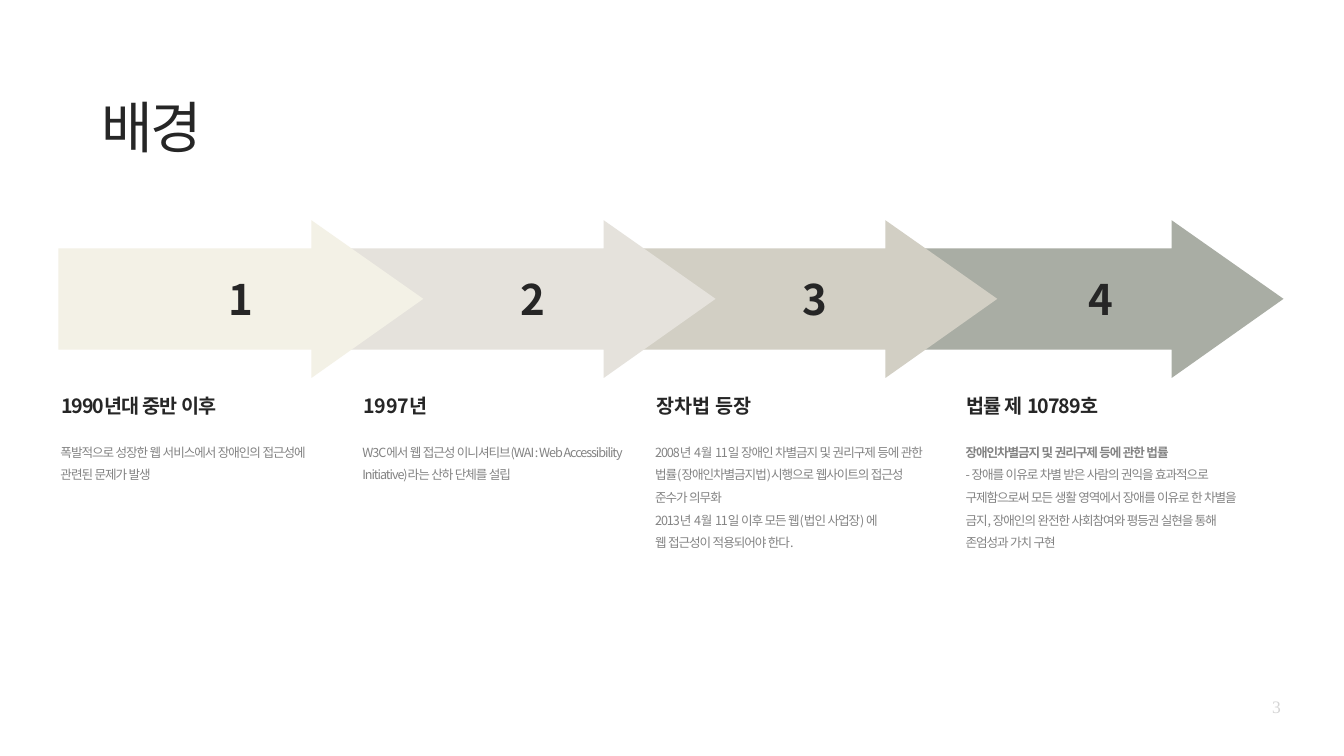
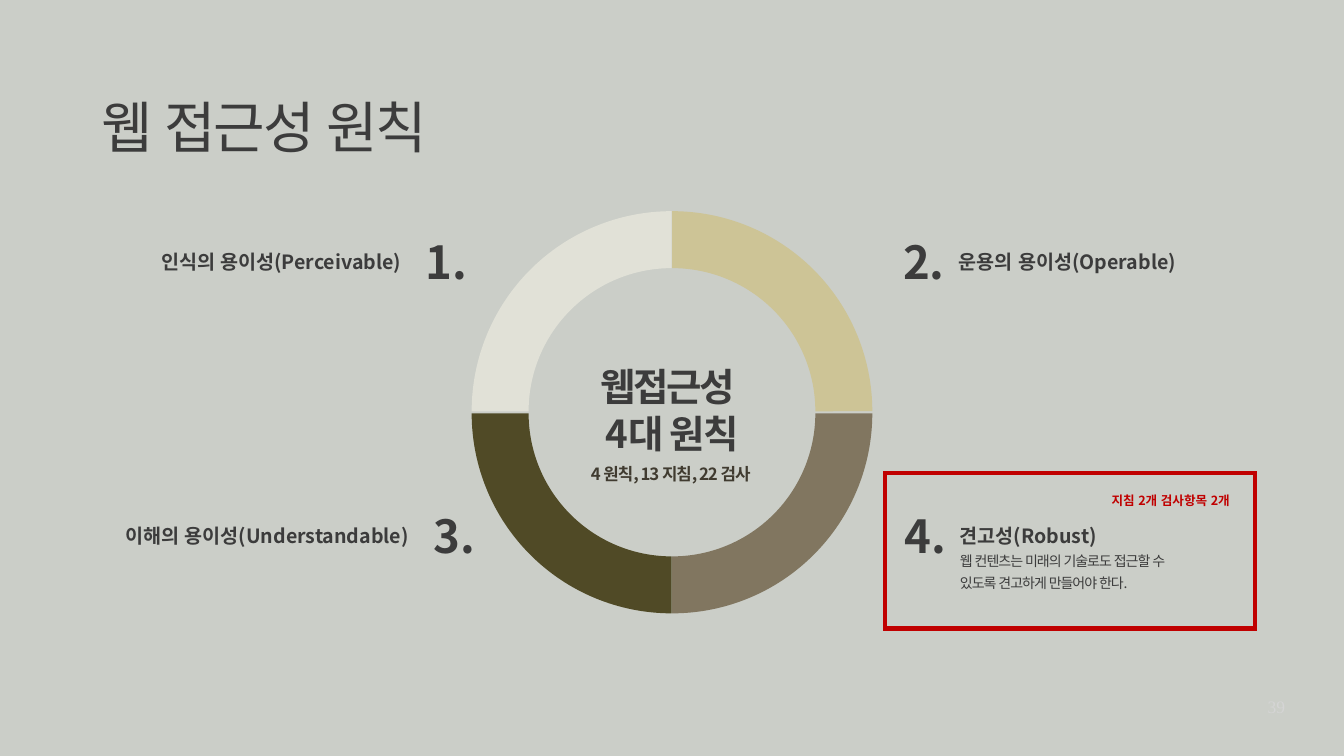
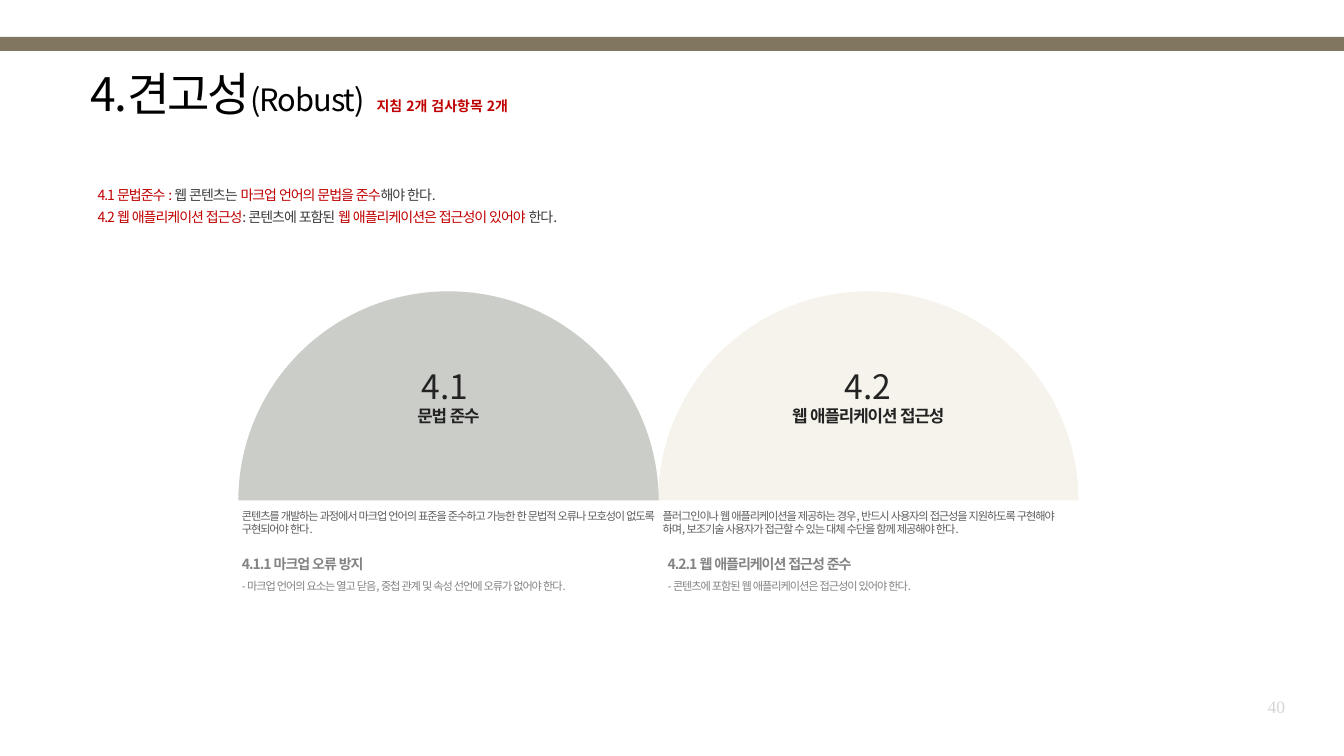
"""Build three slides on the background and principles of web accessibility."""
import math

import pptx
import pptx.dml.color
import pptx.enum.lang
import pptx.enum.shapes
import pptx.enum.text
import pptx.oxml
import pptx.oxml.ns
import pptx.util
from pptx.util import Inches

FONT = "Noto Sans CJK KR"
COLORS = {
    "white": "FFFFFF", "black": "000000", "ink": "262626", "dark": "232323",
    "charcoal": "3C3C3C", "umber": "403B30", "body": "5C5C5C", "gray": "838383",
    "page": "D5D5D5", "red": "C00000", "mist": "CBCEC8", "cream": "F3F1E6",
    "linen": "E5E2DC", "stone": "D2CFC4", "sage": "A9ADA4", "ivory": "E1E1D7",
    "sand": "CDC496", "taupe": "817660", "olive": "504A26",
}
ALIGN = {
    "l": pptx.enum.text.PP_ALIGN.LEFT,
    "c": pptx.enum.text.PP_ALIGN.CENTER,
    "r": pptx.enum.text.PP_ALIGN.RIGHT,
}


def rgb(name):
    """Return the named colour."""
    return pptx.dml.color.RGBColor.from_string(COLORS[name])


def element(tag, attributes=""):
    """Return a new drawing element."""
    return pptx.oxml.parse_xml(
        f'<a:{tag} {pptx.oxml.ns.nsdecls("a")} {attributes}/>')


def format_run(r, size=20, color="ink", bold=False, spacing=0, font=FONT):
    """Set the character format of a run."""
    r.font.size = pptx.util.Pt(size)
    r.font.bold = bold
    r.font.name = font
    r.font.color.rgb = rgb(color)
    r.font.language_id = pptx.enum.lang.MSO_LANGUAGE_ID.KOREAN
    if spacing:
        r.font._element.set("spc", str(round(spacing * 100)))


def write(tf, paragraphs, align="l", line=None, before=0, indent=0,
          inset=0.06, middle=False, **style):
    """Fill a text frame; a paragraph is a string or a list of (text, format)."""
    across, down = inset if isinstance(inset, tuple) else (inset, inset)
    tf.margin_left = tf.margin_right = Inches(across)
    tf.margin_top = tf.margin_bottom = Inches(down)
    anchors = pptx.enum.text.MSO_ANCHOR
    tf.vertical_anchor = anchors.MIDDLE if middle else anchors.TOP
    if isinstance(paragraphs, str):
        paragraphs = [paragraphs]
    for i, runs in enumerate(paragraphs):
        p = tf.add_paragraph() if i else tf.paragraphs[0]
        p.alignment = ALIGN[align]
        if line:
            p.line_spacing = line
        if before and i:
            p.space_before = pptx.util.Pt(before)
        if indent:
            p._p.get_or_add_pPr().set("marL", str(Inches(indent)))
        for text, extra in [(runs, {})] if isinstance(runs, str) else runs:
            for j, part in enumerate(text.split("\n")):
                if j:
                    p.add_line_break()
                r = p.add_run()
                r.text = part
                format_run(r, **{**style, **extra})


def add_text(s, box, paragraphs, grow=False, wrap=True, **style):
    """Add a text box at box (left, top, width, height)."""
    tf = s.shapes.add_textbox(*map(Inches, box)).text_frame
    tf.word_wrap = wrap
    if grow:
        tf.auto_size = pptx.enum.text.MSO_AUTO_SIZE.SHAPE_TO_FIT_TEXT
    write(tf, paragraphs, **style)


def paint(sp, fill=None, line=None, width=0, alpha=None):
    """Set the fill and outline of a shape."""
    sp.shadow.inherit = False
    if fill:
        sp.fill.solid()
        sp.fill.fore_color.rgb = rgb(fill)
    else:
        sp.fill.background()
    if alpha:
        color = sp.fill._xPr.find(".//" + pptx.oxml.ns.qn("a:srgbClr"))
        color.append(element("alpha", f'val="{alpha * 1000}"'))
    if line:
        sp.line.color.rgb = rgb(line)
        sp.line.width = pptx.util.Pt(width)
        sp.line._get_or_add_ln().append(element("miter", 'lim="800000"'))
    else:
        sp.line.fill.background()


def add_rect(s, box, **look):
    """Add a rectangle."""
    kind = pptx.enum.shapes.MSO_SHAPE.RECTANGLE
    paint(s.shapes.add_shape(kind, *map(Inches, box)), **look)


def add_outline(s, points, curves=(), **look):
    """Add a closed outline; curves lists the first control point of each curve."""
    points = [(Inches(x), Inches(y)) for x, y in points]
    builder = s.shapes.build_freeform(*points[0], scale=1.0)
    builder.add_line_segments(points[1:], close=True)
    sp = builder.convert_to_shape()
    sides = list(sp._element.iter(pptx.oxml.ns.qn("a:lnTo")))
    for first in curves:
        curve = element("cubicBezTo")
        sides[first - 1].addprevious(curve)
        for side in sides[first - 1:first + 2]:
            curve.append(side[0])
            side.getparent().remove(side)
    paint(sp, **look)
    return sp


def arc(cx, cy, rx, ry, start, end):
    """Return the Bezier points of an arc, in degrees clockwise from the right."""
    count = round(abs(end - start) / 45)
    step = math.radians((end - start) / count)
    k = 4 / 3 * math.tan(step / 4)
    points = [(1, 0), (1, k),
              (math.cos(step) + k * math.sin(step),
               math.sin(step) - k * math.cos(step)),
              (math.cos(step), math.sin(step))]
    result = []
    for i in range(count):
        a = math.radians(start) + i * step
        result += [(cx + rx * (x * math.cos(a) - y * math.sin(a)),
                    cy + ry * (x * math.sin(a) + y * math.cos(a)))
                   for x, y in points[bool(i):]]
    return result


def add_arrow(s, left, label, fill):
    """Add a numbered block arrow."""
    profile = [(0, 0.56), (5.02, 0.56), (5.02, 0), (7.24, 1.56),
               (5.02, 3.13), (5.02, 2.57), (0, 2.57)]
    sp = add_outline(s, [(left + x, 4.37 + y) for x, y in profile], fill=fill)
    write(sp.text_frame, label, align="c", middle=True, size=60, bold=True,
          spacing=-1.5)


def add_ring_quarter(s, cx, cy, start, fill):
    """Add a quarter of the ring that begins at the start angle."""
    outer = arc(cx, cy, 3.97, 3.97, start, start + 90)
    inner = arc(cx, cy, 2.84, 2.84, start + 90, start)
    add_outline(s, outer + inner, curves=(1, 4, 8, 11), fill=fill)


def add_dome(s, left, number, label, fill, alpha):
    """Add a half disc with a number and a label."""
    points = arc(left + 4.17, 9.93, 4.17, 4.15, 180, 360)
    sp = add_outline(s, points, curves=(1, 4, 7, 10), fill=fill, alpha=alpha)
    write(sp.text_frame,
          [[(number, {"size": 48})],
           [(label, {"size": 24, "bold": True, "spacing": -1.5})]],
          align="c", middle=True, inset=0.09, color="dark")


def add_slide(prs, background, page):
    """Add a blank slide with its background and page number."""
    s = prs.slides.add_slide(prs.slide_layouts[6])
    s.background.fill.solid()
    s.background.fill.fore_color.rgb = rgb(background)
    add_text(s, (25.08, 13.74, 0.5, 0.53), page, grow=True, wrap=False,
             align="c", size=25, color="page", font="Times New Roman")
    return s


def add_title(s, text, color):
    """Add a slide title."""
    add_text(s, (1.95, 1.78, 11.94, 2.08), text, size=80, color=color, spacing=-3)


def add_principle(s, number_at, label_at, number, label, align="l", width=4.96):
    """Add a large number with the name of its principle."""
    top = number_at[1]
    add_text(s, (*number_at, 1.1, 1.5), number, size=65, bold=True,
             color="charcoal")
    add_text(s, (label_at, top + 0.06, width, 0.58), label, align=align,
             line=1.5, inset=0.08, size=28, bold=True, color="charcoal")


def build_background(prs):
    """Build the timeline slide."""
    s = add_slide(prs, "white", "3")
    arrows = [(1.16, "cream"), (6.96, "linen"), (12.55, "stone"), (18.23, "sage")]
    for number, (left, fill) in reversed(list(enumerate(arrows, 1))):
        add_arrow(s, left, str(number), fill)
    steps = [
        (1.14, 5.52, "1990년대 중반 이후", -1.5,
         ["폭발적으로 성장한 웹 서비스에서 장애인의 접근성에 관련된 문제가 발생"]),
        (7.13, 5.52, "1997년", 0,
         ["W3C에서 웹 접근성 이니셔티브(WAI : Web Accessibility Initiative)라는 "
          "산하 단체를 설립"]),
        (12.94, 5.52, "장차법 등장", 0,
         ["2008년 4월 11일 장애인 차별금지 및 권리구제 등에 관한 "
          "법률(장애인차별금지법)시행으로 웹사이트의 접근성  준수가 의무화\n"
          "2013년 4월 11일 이후 모든 웹(법인 사업장) 에",
          "웹 접근성이 적용되어야 한다."]),
        (19.1, 5.7, "법률 제 10789호", -1.5,
         [[("장애인차별금지 및 권리구제 등에 관한 법률", {"bold": True})],
          "- 장애를 이유로 차별 받은 사람의 권익을 효과적으로 구제함으로써 "
          "모든 생활 영역에서 장애를 이유로 한 차별을 금지, 장애인의 완전한 "
          "사회참여와 평등권 실현을 통해 존엄성과 가치 구현"]),
    ]
    for left, width, heading, spacing, body in steps:
        add_text(s, (left, 8.61, width, 2.5), body, line=1.5, size=18,
                 color="gray", spacing=-1.5)
        add_text(s, (left, 7.74, 5.52, 0.83), heading, inset=0.08, size=28,
                 bold=True, spacing=spacing)
    add_title(s, "배경", "ink")


def build_principles(prs):
    """Build the slide with the ring of four principles."""
    s = add_slide(prs, "mist", "39")
    add_principle(s, (8.39, 4.59), 3.08, "1.", "인식의 용이성(Perceivable) ", "r")
    add_principle(s, (17.86, 4.59), 18.95, "2.", "운용의 용이성(Operable)")
    add_principle(s, (8.55, 10.02), 2.26, "3.", "이해의 용이성(Understandable)",
                  "r", 5.93)
    add_principle(s, (17.89, 10.02), 18.97, "4.", "견고성(Robust)")
    add_text(s, (18.97, 10.79, 4.6, 1.39),
             "웹 컨텐츠는 미래의 기술로도 접근할 수 있도록 견고하게 만들어야 한다.",
             line=1.3, inset=0.08, color="charcoal", spacing=-1.5)
    add_ring_quarter(s, 13.33, 8.16, 180, "ivory")
    add_ring_quarter(s, 13.34, 8.16, 270, "sand")
    add_ring_quarter(s, 13.34, 8.2, 0, "taupe")
    add_ring_quarter(s, 13.33, 8.2, 90, "olive")
    add_text(s, (11.06, 7.15, 4.55, 2), ["웹접근성 ", "4대 원칙"], align="c",
             size=55, bold=True, color="charcoal", spacing=-3)
    add_text(s, (10.96, 8.96, 4.77, 0.68), "4 원칙, 13 지침, 22 검사 ", align="c",
             line=1.4, inset=0.08, size=24, bold=True, color="umber", spacing=-1.5)
    add_title(s, "웹 접근성 원칙", "charcoal")
    add_rect(s, (17.56, 9.39, 7.34, 3.08), line="red", width=6)
    add_text(s, (21.96, 9.64, 3.62, 0.46), "지침 2개 검사항목 2개", grow=True,
             line=1.3, inset=(0.1, 0.05), size=18, bold=True, color="red")


def build_robust(prs):
    """Build the slide on the robust principle."""
    s = add_slide(prs, "white", "40")
    red = {"color": "red"}
    add_dome(s, 13.06, "4.2", "웹 애플리케이션 접근성", "cream", 80)
    add_dome(s, 4.73, "4.1 ", "문법 준수", "sage", 60)
    add_rect(s, (0, 0.73, 26.67, 0.28), fill="taupe")
    add_text(s, (1.74, 1.24, 13.83, 1.31),
             [[("4.견고성", {"size": 66, "spacing": -3}),
               ("(Robust)  ", {"size": 44, "spacing": -1.5}),
               ("지침 2개 검사항목 2개", {"bold": True, **red})]], color="black")
    add_text(s, (1.74, 3.66, 10.93, 0.86),
             [[("4.1 문법준수 : ", red), ("웹 콘텐츠는 ", {}),
               ("마크업 언어의 문법을 준수", red), ("해야 한다.", {})],
              [("4.2 웹 애플리케이션 접근성", red), (": 콘텐츠에 포함된 ", {}),
               ("웹 애플리케이션은 접근성이 있어야", red), (" 한다.", {})]],
             grow=True, before=6.5, indent=0.1, inset=(0.1, 0.05),
             color="charcoal", spacing=-1.5)
    columns = [
        (4.73, 8.33, 4.74, 8.33,
         "콘텐츠를 개발하는 과정에서 마크업 언어의 표준을 준수하고 가능한 한 "
         "문법적 오류나 모호성이 없도록 구현되어야 한다.",
         "4.1.1 마크업 오류 방지",
         "- 마크업 언어의 요소는 열고 닫음, 중첩 관계 및 속성 선언에 오류가 없어야 한다."),
        (13.08, 8.15, 13.19, 5.52,
         "플러그인이나 웹 애플리케이션을 제공하는 경우, 반드시 사용자의 접근성을 "
         "지원하도록 구현해야 하며, 보조기술 사용자가 접근할 수 있는 대체 수단을 "
         "함께 제공해야 한다.",
         "4.2.1 웹 애플리케이션 접근성 준수",
         "- 콘텐츠에 포함된 웹 애플리케이션은 접근성이 있어야 한다."),
    ]
    for left, width, item_left, item_width, summary, heading, item in columns:
        add_text(s, (item_left, 10.8, item_width, 1.08),
                 [[(heading, {"size": 20, "bold": True})], item],
                 line=1.5, size=16, color="gray", spacing=-1.5)
        add_text(s, (left, 10.04, width, 1.3), summary, indent=0.01, size=16,
                 color="body", spacing=-1.5)


def main():
    """Build and save the presentation."""
    prs = pptx.Presentation()
    prs.slide_width, prs.slide_height = Inches(26.67), Inches(15)
    build_background(prs)
    build_principles(prs)
    build_robust(prs)
    prs.save("out.pptx")


if __name__ == "__main__":
    main()
